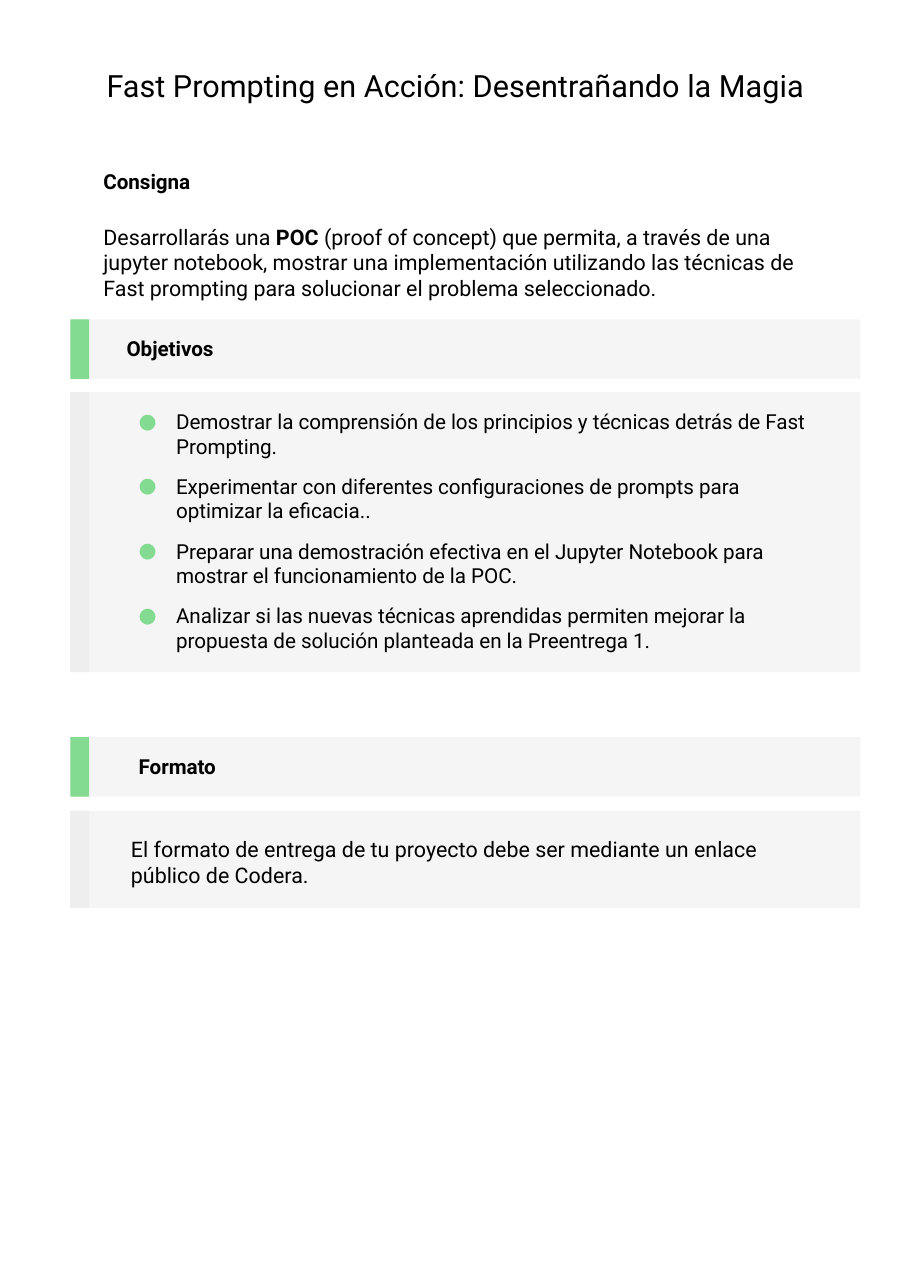
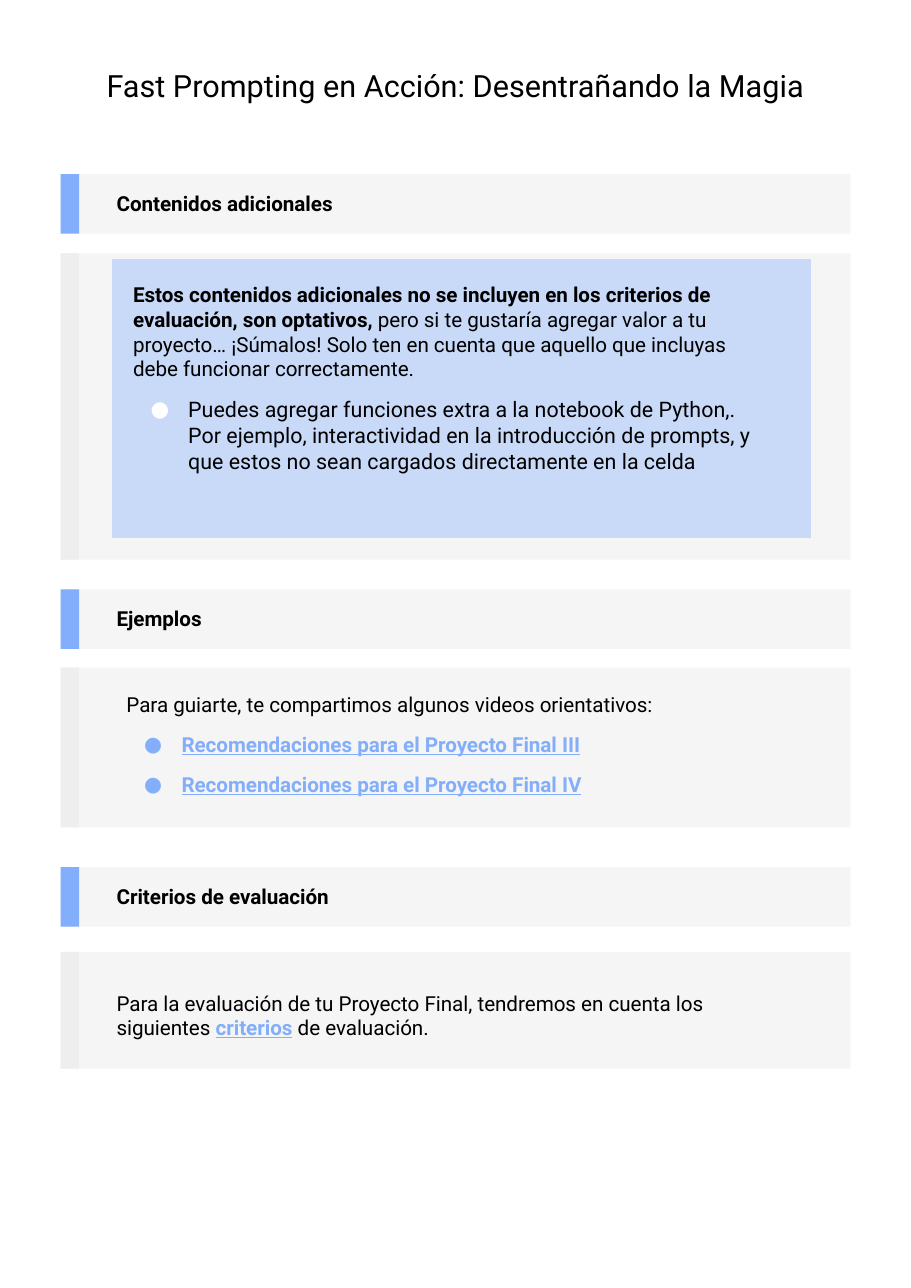
from dataclasses import dataclass

from lxml import etree
from pptx import Presentation
from pptx.dml.color import RGBColor
from pptx.enum.shapes import MSO_SHAPE
from pptx.enum.text import MSO_ANCHOR, MSO_AUTO_SIZE, PP_ALIGN
from pptx.oxml.ns import qn
from pptx.presentation import Presentation as Deck
from pptx.shapes.autoshape import Shape
from pptx.slide import Slide
from pptx.text.text import TextFrame, _Paragraph
from pptx.util import Emu, Pt

RECTANGLE = MSO_SHAPE.RECTANGLE
TOP, MIDDLE = MSO_ANCHOR.TOP, MSO_ANCHOR.MIDDLE
LEFT, CENTER = PP_ALIGN.LEFT, PP_ALIGN.CENTER
NO_AUTOFIT = MSO_AUTO_SIZE.NONE

EMU_PER_PX = 9144
PAGE_WIDTH, PAGE_HEIGHT = 827, 1169
PANEL_WIDTH, STRIPE_WIDTH, HEADING_HEIGHT = 717, 17, 54
INSET, BULLET_INDENT, BULLET_HANGING = 10, 50, 34

FONT = "Roboto"
BODY_SIZE, LARGE_SIZE, TITLE_SIZE = 13.5, 14, 20
BLACK, WHITE = "000000", "FFFFFF"
PANEL_GRAY, STRIPE_GRAY = "F5F5F5", "EEEEEE"
GREEN, BLUE, PALE_BLUE = "82DB91", "83AEFB", "C9DAF8"
TITLE = "Fast Prompting en Acción: Desentrañando la Magia"


@dataclass(frozen=True)
class Box:
    """A rectangle on the page, in px."""

    left: int
    top: int
    width: int
    height: int


@dataclass(frozen=True)
class Run:
    """A piece of text with one format."""

    text: str
    bold: bool = False
    underline: bool = False
    color: str = BLACK
    size: float = BODY_SIZE


@dataclass(frozen=True)
class Block:
    """A paragraph made of runs, with a bullet when it has a bullet colour."""

    runs: tuple[Run, ...]
    bullet: str = ""
    before: int = 0
    after: int = 0


@dataclass(frozen=True)
class Section:
    """A heading bar with a content panel below it."""

    heading: str
    accent: str
    left: int
    top: int
    panel_top: int
    panel_height: int
    heading_indent: int = 41


def px(length: int) -> Emu:
    """Turn px into EMU."""
    return Emu(length * EMU_PER_PX)


def rgb(color: str) -> RGBColor:
    """Turn a hex string into a colour."""
    return RGBColor.from_string(color)


def place(shape: Shape, box: Box) -> None:
    """Move and size a shape."""
    shape.left, shape.top = px(box.left), px(box.top)
    shape.width, shape.height = px(box.width), px(box.height)


def add_rectangle(slide: Slide, box: Box, fill: str, line: str = "") -> None:
    """Draw a flat rectangle, outlined when a line colour is given."""
    shape = slide.shapes.add_shape(RECTANGLE, px(box.left), px(box.top), px(box.width), px(box.height))
    shape.shadow.inherit = False
    shape.fill.solid()
    shape.fill.fore_color.rgb = rgb(fill)
    if line:
        shape.line.color.rgb = rgb(line)
        shape.line.width = Pt(0.75)
    else:
        shape.line.fill.background()


def add_bullet(paragraph: _Paragraph, color: str) -> None:
    """Give a paragraph a round bullet and a hanging indent."""
    properties = paragraph._p.get_or_add_pPr()
    properties.set("marL", str(px(BULLET_INDENT)))
    properties.set("indent", str(-px(BULLET_HANGING)))
    bullet_color = etree.SubElement(properties, qn("a:buClr"))
    etree.SubElement(bullet_color, qn("a:srgbClr"), val=color)
    etree.SubElement(properties, qn("a:buFont"), typeface=FONT)
    etree.SubElement(properties, qn("a:buChar"), char="●")


def write(frame: TextFrame, blocks: list[Block], *, align: PP_ALIGN = LEFT, anchor: MSO_ANCHOR = TOP) -> None:
    """Fill a text frame with formatted paragraphs."""
    frame.word_wrap = True
    frame.auto_size = NO_AUTOFIT
    frame.vertical_anchor = anchor
    frame.margin_left = frame.margin_right = px(INSET)
    frame.margin_top = frame.margin_bottom = px(INSET)
    for index, block in enumerate(blocks):
        paragraph = frame.add_paragraph() if index else frame.paragraphs[0]
        paragraph.alignment = align
        paragraph.space_before, paragraph.space_after = Pt(block.before), Pt(block.after)
        if block.bullet:
            add_bullet(paragraph, block.bullet)
        for part in block.runs:
            run = paragraph.add_run()
            run.text = part.text
            run.font.name = FONT
            run.font.size = Pt(part.size)
            run.font.bold = part.bold
            run.font.underline = part.underline
            run.font.color.rgb = rgb(part.color)


def add_text(slide: Slide, box: Box, blocks: list[Block], *, anchor: MSO_ANCHOR = TOP) -> None:
    """Add a text box with formatted paragraphs."""
    shape = slide.shapes.add_textbox(px(box.left), px(box.top), px(box.width), px(box.height))
    write(shape.text_frame, blocks, anchor=anchor)


def add_panel(slide: Slide, left: int, top: int, height: int, stripe: str) -> None:
    """Draw a gray panel with a stripe on its left edge."""
    add_rectangle(slide, Box(left, top, PANEL_WIDTH, height), PANEL_GRAY)
    add_rectangle(slide, Box(left, top, STRIPE_WIDTH, height), stripe)


def add_section(slide: Slide, section: Section) -> None:
    """Draw a heading bar and its content panel."""
    add_panel(slide, section.left, section.top, HEADING_HEIGHT, section.accent)
    heading_box = Box(section.left + section.heading_indent, section.top + 2, 652, 49)
    heading = Block((Run(section.heading, bold=True),), after=12)
    add_text(slide, heading_box, [heading], anchor=MIDDLE)
    add_panel(slide, section.left, section.panel_top, section.panel_height, STRIPE_GRAY)


def add_page(presentation: Deck, sections: list[Section]) -> Slide:
    """Add a slide with the shared title and its sections."""
    slide = presentation.slides.add_slide(presentation.slide_layouts[5])
    title = slide.shapes.title
    place(title, Box(55, 51, PANEL_WIDTH, 54))
    write(title.text_frame, [Block((Run(TITLE, size=TITLE_SIZE),))], align=CENTER)
    for section in sections:
        add_section(slide, section)
    return slide


def build_assignment(presentation: Deck) -> None:
    """Build the slide with the task, goals and format."""
    slide = add_page(presentation, [
        Section("Objetivos", GREEN, 64, 290, 356, 254),
        Section("Formato", GREEN, 64, 669, 736, 88, heading_indent=52),
    ])
    add_text(slide, Box(84, 143, 676, 43), [Block((Run("Consigna", bold=True),), after=10)])
    add_text(slide, Box(84, 193, 676, 91), [Block((
        Run("Desarrollarás una", size=LARGE_SIZE),
        Run(" POC", bold=True, size=LARGE_SIZE),
        Run(" (proof of concept) que permita, a través de una jupyter notebook, mostrar una "
            "implementación utilizando las técnicas de Fast prompting para solucionar el "
            "problema seleccionado.", size=LARGE_SIZE),
    ))])
    goals = [
        "Demostrar la comprensión de los principios y técnicas detrás de Fast Prompting.",
        "Experimentar con diferentes configuraciones de prompts para optimizar la eficacia..",
        "Preparar una demostración efectiva en el Jupyter Notebook para mostrar el "
        "funcionamiento de la POC.",
        "Analizar si las nuevas técnicas aprendidas permiten mejorar la propuesta de solución "
        "planteada en la Preentrega 1.",
    ]
    add_text(slide, Box(100, 361, 662, 244), [
        Block((Run(goal),), bullet=GREEN, before=10 if index else 0)
        for index, goal in enumerate(goals)
    ])
    add_text(slide, Box(109, 749, 636, 67), [Block((
        Run("El formato de entrega de tu proyecto debe ser mediante un enlace público de Codera.",
            size=LARGE_SIZE),
    ))])


def build_resources(presentation: Deck) -> None:
    """Build the slide with extras, examples and criteria."""
    slide = add_page(presentation, [
        Section("Contenidos adicionales", BLUE, 55, 158, 230, 278),
        Section("Ejemplos", BLUE, 55, 535, 606, 145),
        Section("Criterios de evaluación", BLUE, 55, 787, 864, 106),
    ])
    add_rectangle(slide, Box(101, 235, 636, 254), PALE_BLUE, PANEL_GRAY)
    add_text(slide, Box(111, 246, 599, 196), [
        Block((
            Run("Estos contenidos adicionales no se incluyen en los criterios de evaluación, "
                "son optativos, ", bold=True),
            Run("pero si te gustaría agregar valor a tu proyecto… ¡Súmalos! Solo ten en cuenta "
                "que aquello que incluyas debe funcionar correctamente."),
        )),
        Block((
            Run("Puedes agregar funciones extra a la notebook de Python,. Por ejemplo, "
                "interactividad en la introducción de prompts, y que estos no sean cargados "
                "directamente en la celda", size=LARGE_SIZE),
        ), bullet=WHITE, before=10),
    ])
    videos = [
        Block((Run(f"Recomendaciones para el Proyecto Final {number}", True, True, BLUE),),
              bullet=BLUE, before=10)
        for number in ("III", "IV")
    ]
    introduction = Block((Run("Para guiarte, te compartimos algunos videos orientativos:"),))
    add_text(slide, Box(105, 618, 636, 116), [introduction, *videos])
    add_text(slide, Box(96, 889, 636, 66), [Block((
        Run("Para la evaluación de tu Proyecto Final, tendremos en cuenta los siguientes "),
        Run("criterios", True, True, BLUE),
        Run(" de evaluación."),
    ), after=10)])


def main() -> None:
    """Build and save the presentation."""
    presentation = Presentation()
    presentation.slide_width, presentation.slide_height = px(PAGE_WIDTH), px(PAGE_HEIGHT)
    build_assignment(presentation)
    build_resources(presentation)
    presentation.save("out.pptx")


if __name__ == "__main__":
    main()
